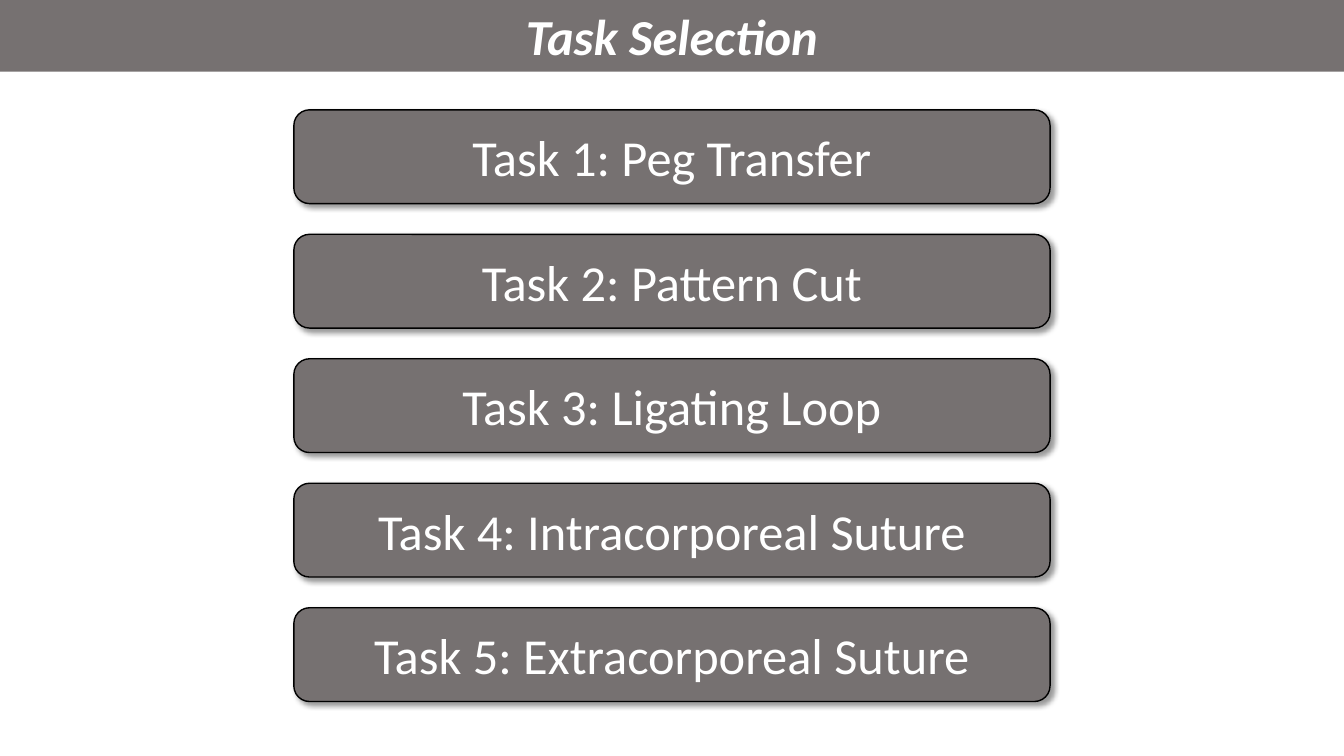
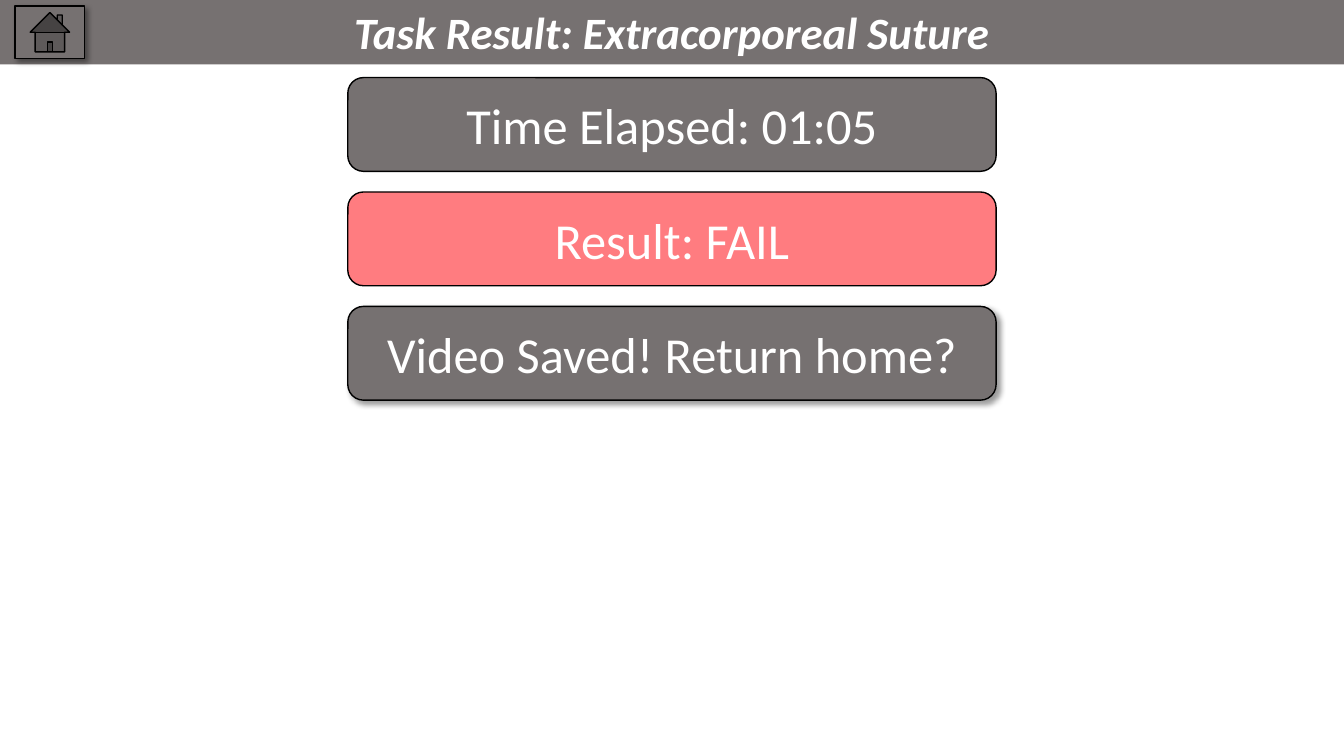
from dataclasses import dataclass
from lxml.etree import SubElement
from pptx import Presentation
from pptx.dml.color import RGBColor
from pptx.enum.shapes import MSO_SHAPE as Shape
from pptx.enum.text import MSO_ANCHOR as Anchor, MSO_AUTO_SIZE as AutoSize, PP_ALIGN as Align
from pptx.oxml.ns import qn
from pptx.util import Inches, Pt

PAGES = [
    {
        "title": "Task Selection", "title_size": 36, "band_height": 0.71,
        "width": 7.5, "first_top": 1.09, "last_top": 6.03, "home": False,
        "boxes": [
            ("Task 1: Peg Transfer", "gray", True),
            ("Task 2: Pattern Cut", "gray", True),
            ("Task 3: Ligating Loop", "gray", True),
            ("Task 4: Intracorporeal Suture", "gray", True),
            ("Task 5: Extracorporeal Suture", "gray", True),
        ],
    },
    {
        "title": "Task Result: Extracorporeal Suture", "title_size": 32, "band_height": 0.64,
        "width": 6.43, "first_top": 0.77, "last_top": 3.04, "home": True,
        "boxes": [
            ("Time Elapsed: 01:05", "gray", False),
            ("Result: FAIL", "fail", False),
            ("Video Saved! Return home?", "gray", True),
        ],
    },
]


@dataclass(frozen=True)
class Theme:
    gray: str = "767171"
    fail: str = "FF7C80"
    text: str = "FFFFFF"
    line: str = "000000"
    font: str = "Calibri"
    box_size: int = 36
    line_width: int = 1


THEME = Theme()
PAGE_WIDTH, PAGE_HEIGHT = 13.33, 7.5
BOX_HEIGHT = 0.93
HOME_BUTTON = (0.15, 0.06, 0.69, 0.52)
SHADOW = {"blurRad": Pt(4), "dist": Pt(3), "dir": 45 * 60000, "algn": "tl", "rotWithShape": 0}
SHADOW_ALPHA = 40


def add_shadow(shape):
    effects = shape._element.spPr.find(qn("a:effectLst"))
    outer = SubElement(effects, qn("a:outerShdw"), {key: str(value) for key, value in SHADOW.items()})
    color = SubElement(outer, qn("a:srgbClr"), val=THEME.line)
    SubElement(color, qn("a:alpha"), val=str(SHADOW_ALPHA * 1000))


def add_block(page, kind, place, fill, outlined=True, shadow=False):
    shape = page.shapes.add_shape(kind, *map(Inches, place))
    shape.shadow.inherit = False
    shape.fill.solid()
    shape.fill.fore_color.rgb = RGBColor.from_string(fill)
    if outlined:
        shape.line.color.rgb = RGBColor.from_string(THEME.line)
        shape.line.width = Pt(THEME.line_width)
    else:
        shape.line.fill.background()
    if shadow:
        add_shadow(shape)
    return shape


def write(shape, text, size, frame_format, **font_format):
    frame = shape.text_frame
    for name, value in {"word_wrap": True, **frame_format}.items():
        setattr(frame, name, value)
    para = frame.paragraphs[0]
    para.alignment = Align.CENTER
    span = para.add_run()
    span.text = text
    for name, value in {"name": THEME.font, "size": Pt(size), **font_format}.items():
        setattr(span.font, name, value)
    span.font.color.rgb = RGBColor.from_string(THEME.text)


def add_title_band(page, content):
    place = (0, 0, PAGE_WIDTH, content["band_height"])
    band = add_block(page, Shape.RECTANGLE, place, THEME.gray, outlined=False)
    frame_format = {"vertical_anchor": Anchor.TOP, "auto_size": AutoSize.SHAPE_TO_FIT_TEXT}
    write(band, content["title"], content["title_size"], frame_format, bold=True, italic=True)


def add_box_column(page, content):
    boxes, width = content["boxes"], content["width"]
    left = (PAGE_WIDTH - width) / 2
    step = (content["last_top"] - content["first_top"]) / (len(boxes) - 1)
    for index, (text, fill, shadow) in enumerate(boxes):
        place = (left, content["first_top"] + index * step, width, BOX_HEIGHT)
        box = add_block(page, Shape.ROUNDED_RECTANGLE, place, getattr(THEME, fill), shadow=shadow)
        write(box, text, THEME.box_size, {"vertical_anchor": Anchor.MIDDLE})


deck = Presentation()
deck.slide_width, deck.slide_height = Inches(PAGE_WIDTH), Inches(PAGE_HEIGHT)
for content in PAGES:
    page = deck.slides.add_slide(deck.slide_layouts[6])
    add_title_band(page, content)
    add_box_column(page, content)
    if content["home"]:
        add_block(page, Shape.ACTION_BUTTON_HOME, HOME_BUTTON, THEME.gray, shadow=True)
deck.save("out.pptx")
